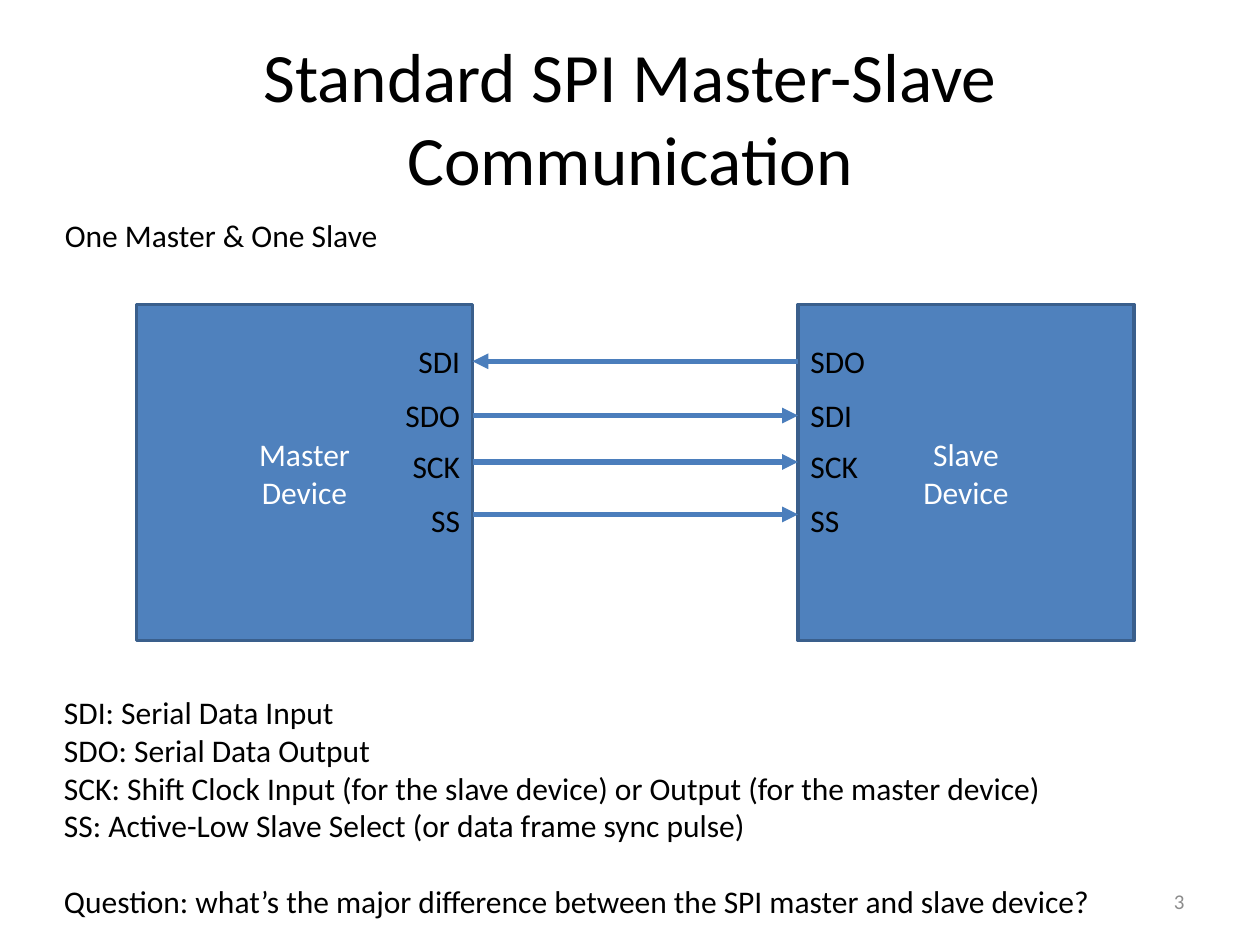
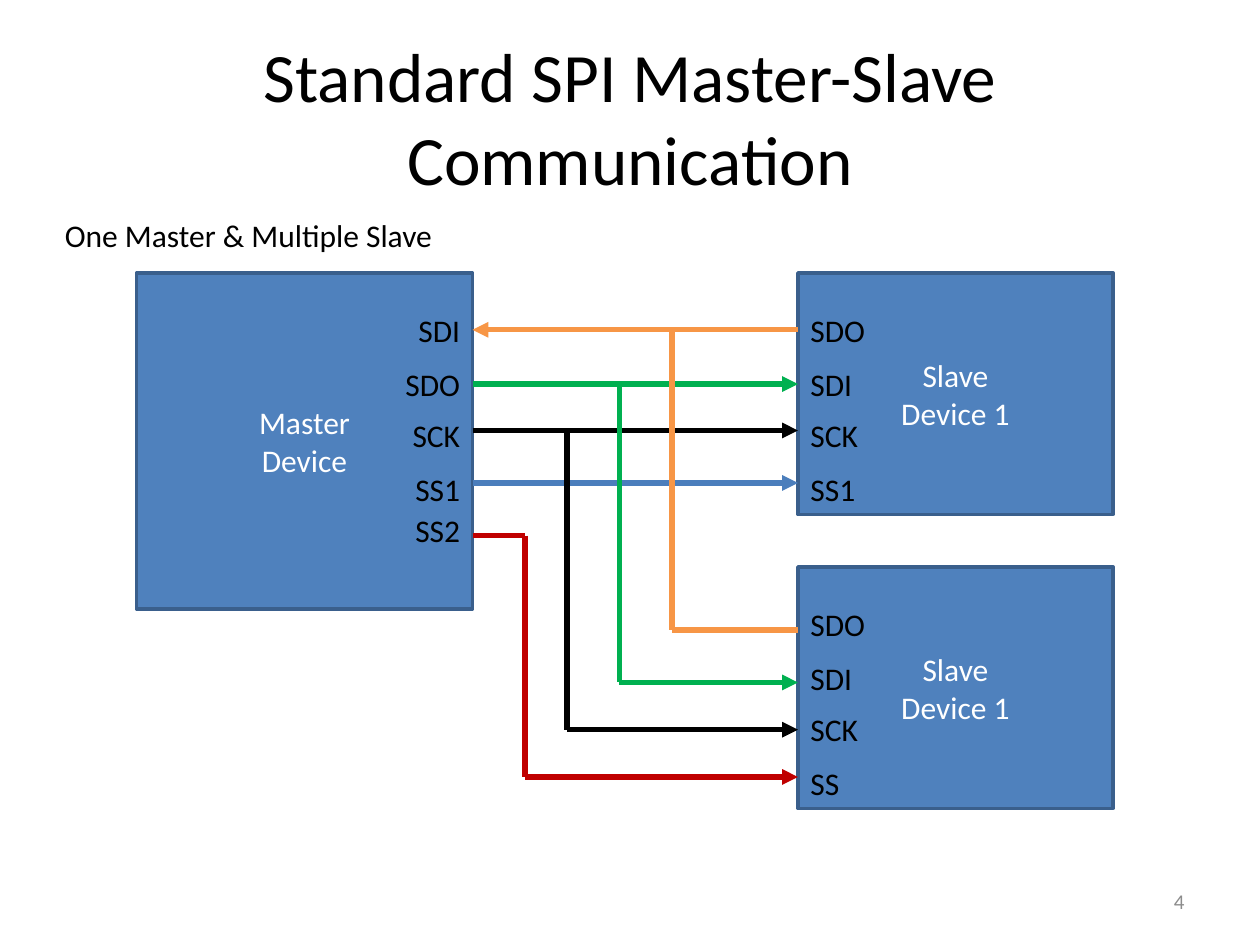
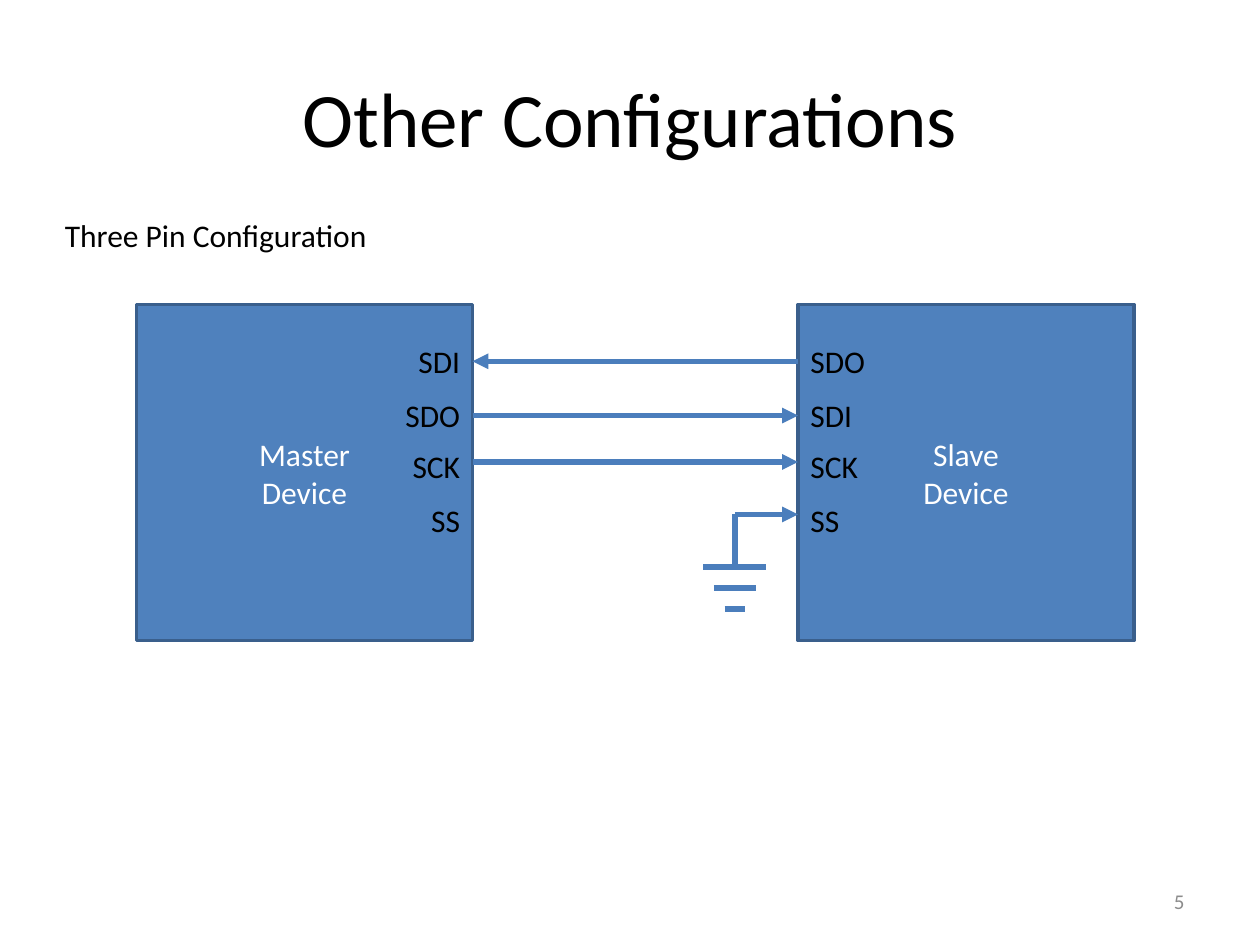
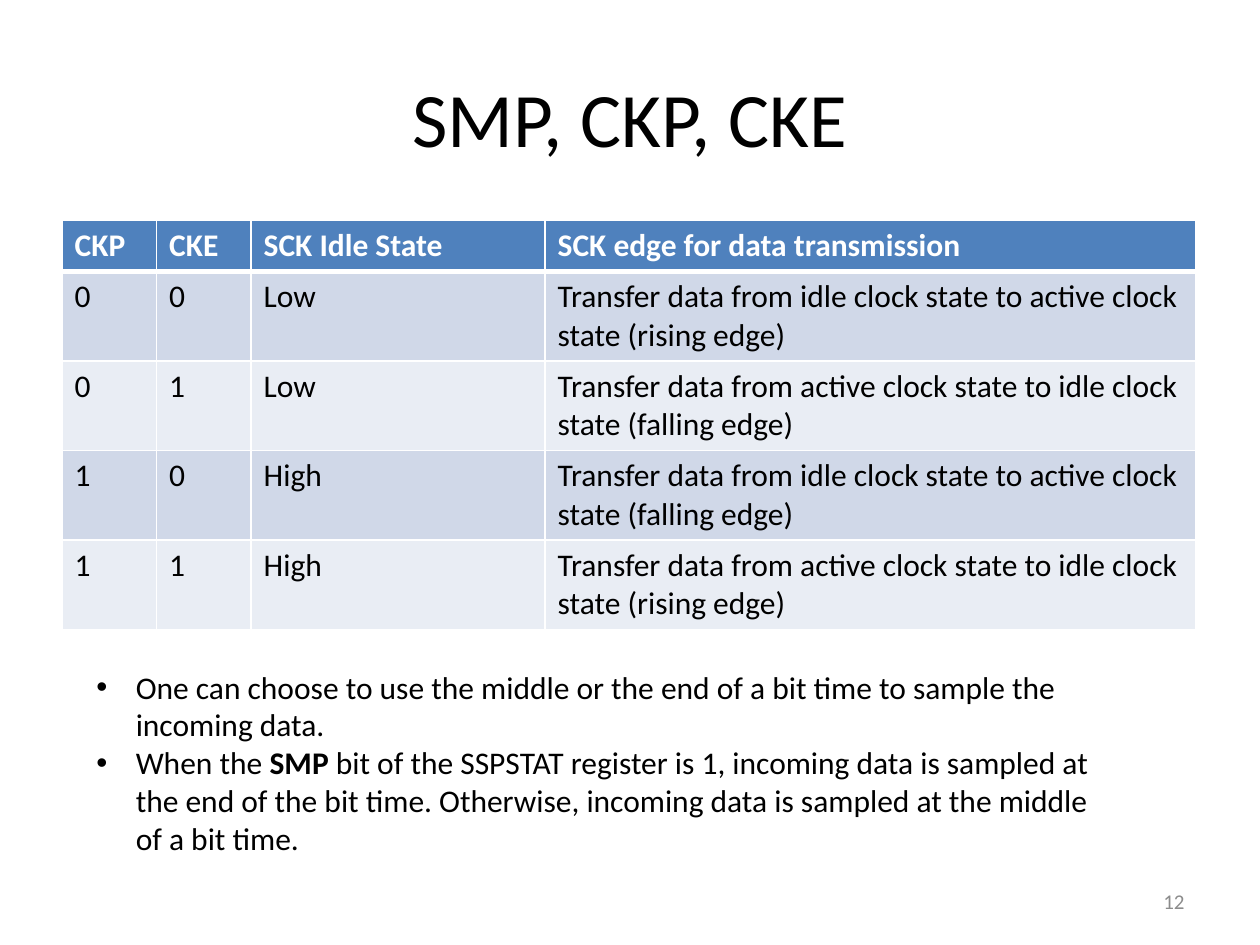
from dataclasses import dataclass
from itertools import pairwise

from lxml.etree import SubElement
from pptx import Presentation
from pptx.dml.color import RGBColor
from pptx.enum.shapes import MSO_CONNECTOR, MSO_SHAPE
from pptx.enum.text import MSO_ANCHOR, MSO_AUTO_SIZE, PP_ALIGN
from pptx.oxml import parse_xml
from pptx.oxml.ns import nsdecls, qn
from pptx.util import Pt


@dataclass(frozen=True)
class Theme:
    font: str = "Calibri"
    # Colours
    ink: str = "000000"
    paper: str = "FFFFFF"
    muted: str = "8C8C8C"
    blue: str = "4F81BD"
    outline: str = "3A5F8C"
    wire: str = "4B7EBC"
    orange: str = "F79646"
    green: str = "00B050"
    red: str = "C00000"
    bands: tuple = ("D0D8E8", "E9EDF4")
    # Type sizes
    title: float = 44
    long_title: float = 39.6
    body: float = 18
    number: float = 12


THEME = Theme()

# Circuit geometry, in points; pins and wires are measured from a device's top
MASTER_LEFT, MASTER_RIGHT, SLAVE_LEFT = 78, 270, 456
DEVICE_SIZE = 192
PIN_WIDTH, LINE_HEIGHT = 48, 28.8
PIN_OFFSETS = (18, 49, 78, 109, 132.5)
WIRE_OFFSETS = (32.5, 63.5, 90, 120, 150)
MASTER_PINS = ("SDI", "SDO", "SCK", "SS")
SLAVE_PINS = ("SDO", "SDI", "SCK", "SS")


def write(frame, paragraphs, size=THEME.body, color=THEME.ink, bold=False,
          align=PP_ALIGN.LEFT, anchor=MSO_ANCHOR.TOP, bullet=False):
    """Fill a text frame; a paragraph is a string or a list of (text, bold) spans."""
    frame.word_wrap = True
    frame.vertical_anchor = anchor
    for index, content in enumerate(paragraphs):
        para = frame.paragraphs[0] if index == 0 else frame.add_paragraph()
        para.alignment = align
        spans = [(content, bold)] if isinstance(content, str) else content
        for text, is_bold in spans:
            span = para.add_run()
            span.text = text
            span.font.name = THEME.font
            span.font.size = Pt(size)
            span.font.bold = is_bold
            span.font.color.rgb = RGBColor.from_string(color)
        if bullet:
            properties = para._p.get_or_add_pPr()
            properties.set("marL", str(Pt(22.5)))
            properties.set("indent", str(Pt(-22.5)))
            SubElement(properties, qn("a:buFont"), typeface="Arial")
            SubElement(properties, qn("a:buChar"), char="•")


class Builder:
    """Holds the deck, its theme and the page being drawn."""

    def __init__(self, theme):
        self.theme = theme
        self.deck = Presentation()
        self.deck.slide_width, self.deck.slide_height = Pt(720), Pt(540)
        self.page = None

    def start_page(self, title, number, size=None):
        self.page = self.deck.slides.add_slide(self.deck.slide_layouts[5])
        box = self.page.shapes.title
        box.left, box.top, box.width, box.height = Pt(36), Pt(21.6), Pt(648), Pt(90)
        box.text_frame.auto_size = MSO_AUTO_SIZE.NONE
        write(box.text_frame, [title], size=size or self.theme.title,
              align=PP_ALIGN.CENTER, anchor=MSO_ANCHOR.MIDDLE)
        self.text([str(number)], 516, 500.5, 168, grow=False, size=self.theme.number,
                  color=self.theme.muted, align=PP_ALIGN.RIGHT, anchor=MSO_ANCHOR.MIDDLE)

    def text(self, paragraphs, left, top, width, height=LINE_HEIGHT, grow=True, **style):
        box = self.page.shapes.add_textbox(Pt(left), Pt(top), Pt(width), Pt(height))
        write(box.text_frame, paragraphs, **style)
        box.text_frame.auto_size = (MSO_AUTO_SIZE.SHAPE_TO_FIT_TEXT if grow
                                    else MSO_AUTO_SIZE.NONE)
        return box

    def subtitle(self, text):
        self.text([text], 30, 120, 288)

    def device(self, lines, left, top, width=DEVICE_SIZE, height=DEVICE_SIZE):
        box = self.page.shapes.add_shape(MSO_SHAPE.RECTANGLE, Pt(left), Pt(top),
                                         Pt(width), Pt(height))
        box.shadow.inherit = False
        box.fill.solid()
        box.fill.fore_color.rgb = RGBColor.from_string(self.theme.blue)
        box.line.color.rgb = RGBColor.from_string(self.theme.outline)
        box.line.width = Pt(2)
        write(box.text_frame, lines, color=self.theme.paper,
              align=PP_ALIGN.CENTER, anchor=MSO_ANCHOR.MIDDLE)

    def pins(self, names, left, top, align=PP_ALIGN.LEFT):
        for name, offset in zip(names, PIN_OFFSETS):
            self.text([name], left, top + offset, PIN_WIDTH, align=align)

    def master(self, top, names=MASTER_PINS):
        self.device(["Master", "Device"], MASTER_LEFT, top)
        self.pins(names, MASTER_RIGHT - PIN_WIDTH, top, PP_ALIGN.RIGHT)

    def slave(self, top, label="Device", names=SLAVE_PINS, **size):
        self.device(["Slave", label], SLAVE_LEFT, top, **size)
        self.pins(names, SLAVE_LEFT, top)

    def route(self, points, color=None, arrow=False):
        """Join points with straight wires; an arrow ends the last one."""
        for start, end in pairwise(points):
            wire = self.page.shapes.add_connector(
                MSO_CONNECTOR.STRAIGHT, *(Pt(value) for value in (*start, *end)))
            wire.line.color.rgb = RGBColor.from_string(color or self.theme.wire)
            wire.line.width = Pt(3)
            SubElement(wire._element.spPr, qn("a:effectLst"))
        if arrow:
            SubElement(wire.line._get_or_add_ln(), qn("a:tailEnd"), type="triangle")

    def bus(self, top, colors):
        """Straight wires between master and slave; the first runs to the master."""
        for index, (color, offset) in enumerate(zip(colors, WIRE_OFFSETS)):
            ends = [(MASTER_RIGHT, top + offset), (SLAVE_LEFT, top + offset)]
            self.route(ends if index else ends[::-1], color, arrow=True)

    def table(self, rows, left, top, widths, heights):
        grid = self.page.shapes.add_table(
            len(rows), len(widths), Pt(left), Pt(top),
            Pt(sum(widths)), Pt(sum(heights))).table
        for column, width in zip(grid.columns, widths):
            column.width = Pt(width)
        for index, (row, height) in enumerate(zip(rows, heights)):
            grid.rows[index].height = Pt(height)
            header = index == 0
            fill = self.theme.blue if header else self.theme.bands[(index - 1) % 2]
            for position, content in enumerate(row):
                cell = grid.cell(index, position)
                cell.fill.solid()
                cell.fill.fore_color.rgb = RGBColor.from_string(fill)
                write(cell.text_frame, [content], bold=header,
                      color=self.theme.paper if header else self.theme.ink)
                self.borders(cell, top=3 if index == 1 else 1, bottom=3 if header else 1)

    def borders(self, cell, top, bottom):
        properties = cell._tc.get_or_add_tcPr()
        sides = {"lnL": 1, "lnR": 1, "lnT": top, "lnB": bottom}
        for order, (side, width) in enumerate(sides.items()):
            properties.insert(order, parse_xml(
                f'<a:{side} {nsdecls("a")} w="{Pt(width)}"><a:solidFill>'
                f'<a:srgbClr val="{self.theme.paper}"/></a:solidFill></a:{side}>'))


def single_slave(builder):
    builder.start_page("Standard SPI Master-Slave Communication", 3, THEME.long_title)
    builder.subtitle("One Master & One Slave")
    builder.master(174)
    builder.slave(174)
    builder.bus(174, [THEME.wire] * 4)
    # Pin glossary and closing question
    glossary = builder.text([
        "SDI: Serial Data Input",
        "SDO: Serial Data Output",
        "SCK: Shift Clock Input (for the slave device) or Output (for the master device)",
        "SS: Active-Low Slave Select (or data frame sync pulse)",
        "Question: what’s the major difference between the SPI master and slave device?",
    ], 29.5, 392.5, 612, 138)
    glossary.text_frame.paragraphs[-1].space_before = Pt(21.6)


def multiple_slaves(builder):
    first_top, second_top = 156, 324
    size = {"width": 180, "height": 138}
    builder.start_page("Standard SPI Master-Slave Communication", 4, THEME.long_title)
    builder.subtitle("One Master & Multiple Slave")
    builder.master(first_top, ("SDI", "SDO", "SCK", "SS1", "SS2"))
    builder.slave(first_top, "Device 1", ("SDO", "SDI", "SCK", "SS1"), **size)
    builder.slave(second_top, "Device 1", **size)
    builder.bus(first_top, (THEME.orange, THEME.green, THEME.ink, THEME.wire))
    # Branches to the second slave: bend, pin height, wire they leave, colour
    branches = (
        (384, 360, 0, THEME.orange),
        (354, 390, 1, THEME.green),
        (324, 417, 2, THEME.ink),
        (300, 444, 4, THEME.red),
    )
    for bend, pin, wire, color in branches:
        source = first_top + WIRE_OFFSETS[wire]
        points = [(bend, source), (bend, pin), (SLAVE_LEFT, pin)]
        if color == THEME.red:
            points.insert(0, (MASTER_RIGHT, source))
        builder.route(points, color, arrow=color != THEME.orange)


def three_pins(builder):
    builder.start_page("Other Configurations", 5)
    builder.subtitle("Three Pin Configuration")
    builder.master(174)
    builder.slave(174)
    builder.bus(174, [THEME.wire] * 3)
    # Slave select tied to ground
    ground, ground_top = 420, 324
    select = 174 + WIRE_OFFSETS[3]
    builder.route([(ground, ground_top), (ground, select), (SLAVE_LEFT, select)],
                  arrow=True)
    for step, half in enumerate((18, 12, 6)):
        height = ground_top + 12 * step
        builder.route([(ground - half, height), (ground + half, height)])


def clock_settings(builder):
    builder.start_page("SMP, CKP, CKE", 12)
    transfer = "Transfer data from {} clock state to {} clock state ({} edge)"
    builder.table([
        ("CKP", "CKE", "SCK Idle State", "SCK edge for data transmission"),
        ("0", "0", "Low", transfer.format("idle", "active", "rising")),
        ("0", "1", "Low", transfer.format("active", "idle", "falling")),
        ("1", "0", "High", transfer.format("idle", "active", "falling")),
        ("1", "1", "High", transfer.format("active", "idle", "rising")),
    ], 35.5, 126, widths=(54, 54, 168, 372), heights=(29.2, *[50.4] * 4))
    # Sampling notes
    builder.text([
        "One can choose to use the middle or the end of a bit time to sample the "
        "incoming data.",
        [("When the ", False), ("SMP", True),
         (" bit of the SSPSTAT register is 1, incoming data is sampled at the end of "
          "the bit time. Otherwise, incoming data is sampled at the middle of a bit "
          "time.", False)],
    ], 48, 378, 600, 138, bullet=True)


def main():
    builder = Builder(THEME)
    for draw in (single_slave, multiple_slaves, three_pins, clock_settings):
        draw(builder)
    builder.deck.save("out.pptx")


if __name__ == "__main__":
    main()
